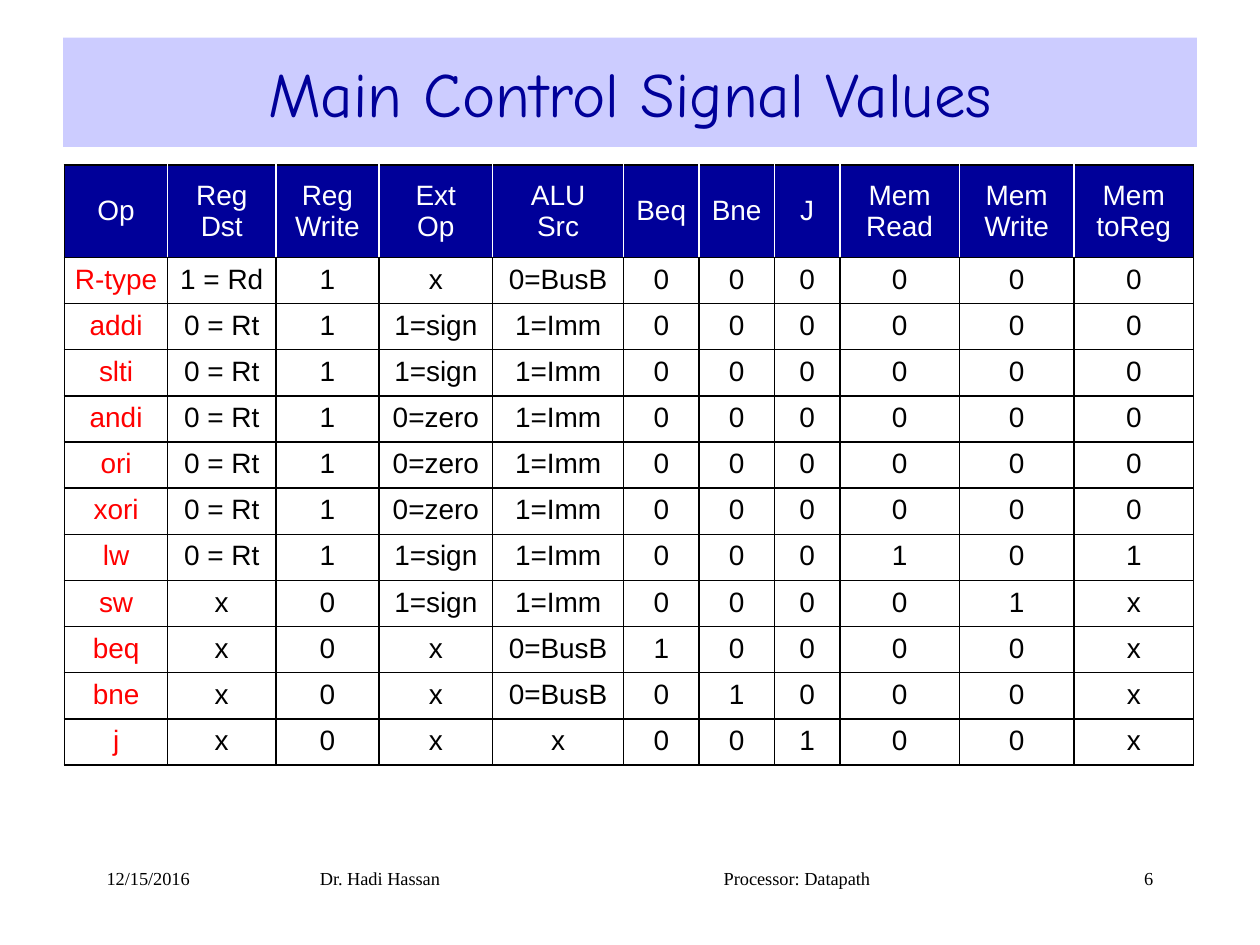
from lxml import etree
from pptx import Presentation
from pptx.dml.color import RGBColor
from pptx.enum.text import MSO_ANCHOR, PP_ALIGN
from pptx.oxml.ns import qn
from pptx.util import Cm, Pt

LEFT, CENTER, RIGHT = PP_ALIGN.LEFT, PP_ALIGN.CENTER, PP_ALIGN.RIGHT
MIDDLE, TOP = MSO_ANCHOR.MIDDLE, MSO_ANCHOR.TOP

NAVY, LAVENDER, RED = "000099", "CCCCFF", "FF0000"
BLACK, WHITE = "000000", "FFFFFF"

SIGNALS = ["Op", "Reg\nDst", "Reg\nWrite", "Ext\nOp", "ALU\nSrc", "Beq",
           "Bne", "J", "Mem\nRead", "Mem\nWrite", "Mem\ntoReg"]
INSTRUCTIONS = [
    ["R-type", "1 = Rd", "1", "x", "0=BusB", "0", "0", "0", "0", "0", "0"],
    ["addi", "0 = Rt", "1", "1=sign", "1=Imm", "0", "0", "0", "0", "0", "0"],
    ["slti", "0 = Rt", "1", "1=sign", "1=Imm", "0", "0", "0", "0", "0", "0"],
    ["andi", "0 = Rt", "1", "0=zero", "1=Imm", "0", "0", "0", "0", "0", "0"],
    ["ori", "0 = Rt", "1", "0=zero", "1=Imm", "0", "0", "0", "0", "0", "0"],
    ["xori", "0 = Rt", "1", "0=zero", "1=Imm", "0", "0", "0", "0", "0", "0"],
    ["lw", "0 = Rt", "1", "1=sign", "1=Imm", "0", "0", "0", "1", "0", "1"],
    ["sw", "x", "0", "1=sign", "1=Imm", "0", "0", "0", "0", "1", "x"],
    ["beq", "x", "0", "x", "0=BusB", "1", "0", "0", "0", "0", "x"],
    ["bne", "x", "0", "x", "0=BusB", "0", "1", "0", "0", "0", "x"],
    ["j", "x", "0", "x", "x", "0", "0", "1", "0", "0", "x"],
]
SIGNAL_WIDTHS = [2.08, 2.18, 2.08, 2.29, 2.64, 1.52, 1.52, 1.32, 2.41, 2.31, 2.41]
HEADER_HEIGHT, ROW_HEIGHT = 1.86, 0.93


def rgb(value):
    return RGBColor.from_string(value)


class SlideBuilder:
    """Holds the style and the current slide, and adds each kind of element."""

    title_font, table_font, footer_font = "Comic Neue", "Arial", "Times New Roman"
    title_size, table_size, footer_size = 36, 16, 10.5

    def __init__(self, slide):
        self.slide = slide

    def format_text(self, frame, font, size, color, align):
        for paragraph in frame.paragraphs:
            paragraph.alignment = align
            paragraph.font.name = font
            paragraph.font.size = Pt(size)
            paragraph.font.color.rgb = rgb(color)

    def title(self, text, left, top, width, height):
        title = self.slide.shapes.title
        title.left, title.top = Cm(left), Cm(top)
        title.width, title.height = Cm(width), Cm(height)
        title.fill.solid()
        title.fill.fore_color.rgb = rgb(LAVENDER)
        title.text_frame.text = text
        title.text_frame.vertical_anchor = MIDDLE
        self.format_text(title.text_frame, self.title_font, self.title_size, NAVY, CENTER)

    def footer(self, text, left, width, align=LEFT):
        box = self.slide.shapes.add_textbox(Cm(left), Cm(17.35), Cm(width), Cm(0.97))
        box.text_frame.word_wrap = True
        box.text_frame.text = text
        self.format_text(box.text_frame, self.footer_font, self.footer_size, BLACK, align)

    def borders(self, cell, left, right):
        properties = cell._tc.get_or_add_tcPr()
        sides = {"lnL": left, "lnR": right, "lnT": BLACK, "lnB": BLACK}
        for side, color in sides.items():
            line = etree.SubElement(properties, qn(f"a:{side}"), w=str(Pt(1)))
            fill = etree.SubElement(line, qn("a:solidFill"))
            etree.SubElement(fill, qn("a:srgbClr"), val=color)

    def cell(self, cell, text, color, padding, anchor):
        cell.text = text
        cell.vertical_anchor = anchor
        cell.margin_left = cell.margin_right = Cm(0.08)
        cell.margin_top = cell.margin_bottom = Cm(padding)
        self.format_text(cell.text_frame, self.table_font, self.table_size, color, CENTER)

    def table(self, header, body, widths, left, top):
        height = HEADER_HEIGHT + ROW_HEIGHT * len(body)
        table = self.slide.shapes.add_table(
            len(body) + 1, len(header), Cm(left), Cm(top), Cm(sum(widths)), Cm(height)).table
        table.first_row = table.horz_banding = False
        for column, width in zip(table.columns, widths):
            column.width = Cm(width)
        for row in table.rows:
            row.height = Cm(ROW_HEIGHT)
        table.rows[0].height = Cm(HEADER_HEIGHT)

        last = len(header) - 1
        for c, signal in enumerate(header):
            heading = table.cell(0, c)
            self.cell(heading, signal, WHITE, 0.25, MIDDLE)
            self.borders(heading, WHITE if c else BLACK, WHITE if c < last else BLACK)
            heading.fill.solid()
            heading.fill.fore_color.rgb = rgb(NAVY)
        for r, values in enumerate(body, start=1):
            for c, value in enumerate(values):
                entry = table.cell(r, c)
                self.cell(entry, value, BLACK if c else RED, 0.13, TOP)
                self.borders(entry, BLACK, BLACK)
                entry.fill.background()


def main():
    presentation = Presentation()
    presentation.slide_width, presentation.slide_height = Cm(25.4), Cm(19.05)
    builder = SlideBuilder(presentation.slides.add_slide(presentation.slide_layouts[5]))
    builder.title("Main Control Signal Values", 1.27, 0.76, 22.86, 2.2)
    builder.table(SIGNALS, INSTRUCTIONS, SIGNAL_WIDTHS, 1.3, 3.33)
    builder.footer("12/15/2016", 1.9, 4)
    builder.footer("Dr. Hadi Hassan", 6.2, 5)
    builder.footer("Processor: Datapath", 14.34, 4)
    builder.footer("6", 18.2, 5.3, RIGHT)
    presentation.save("out.pptx")


if __name__ == "__main__":
    main()
